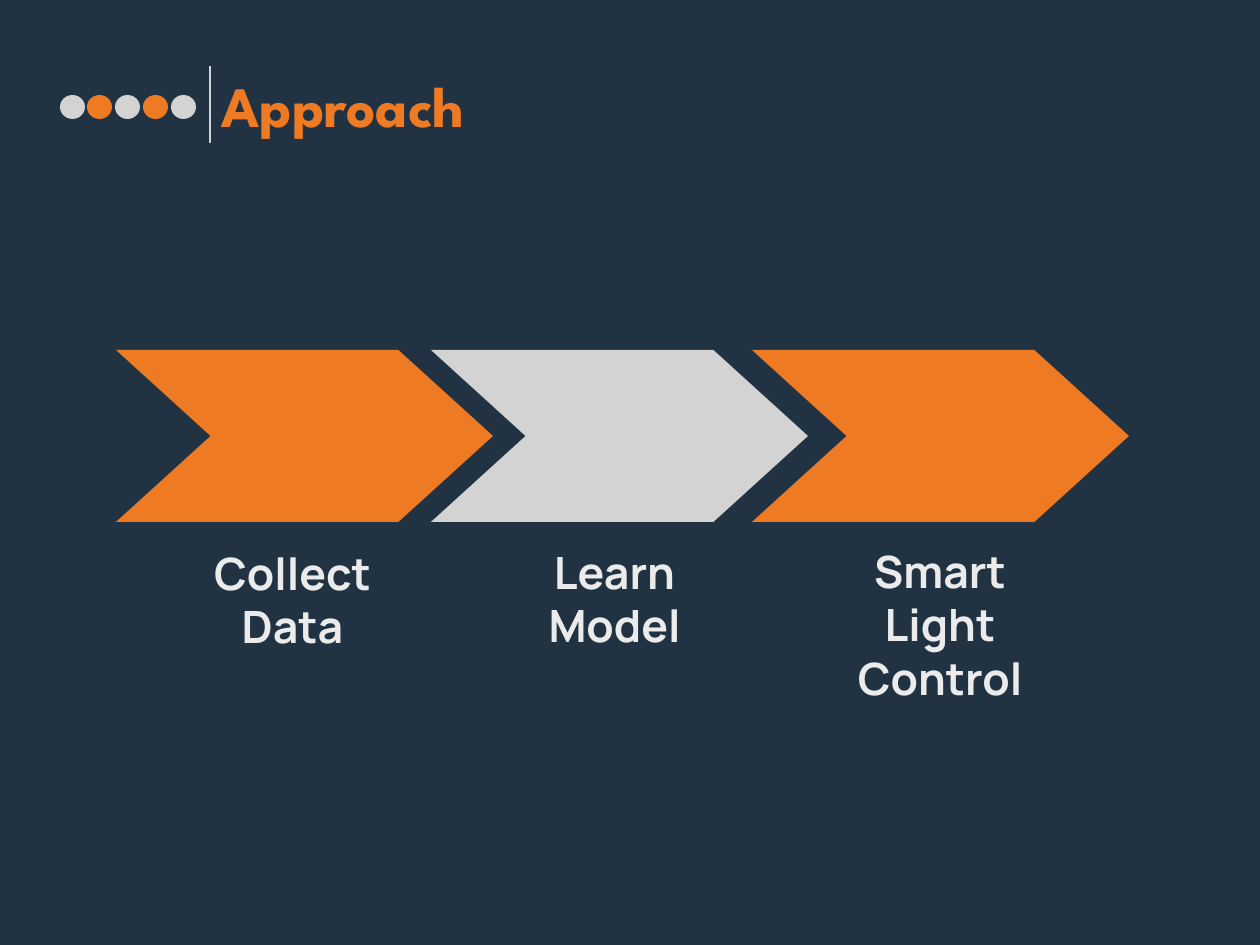
from lxml.etree import SubElement
from pptx import Presentation
from pptx.dml.color import RGBColor
from pptx.enum.shapes import MSO_CONNECTOR, MSO_SHAPE
from pptx.enum.text import MSO_ANCHOR, MSO_AUTO_SIZE, PP_ALIGN
from pptx.oxml.ns import qn
from pptx.util import Emu, Pt

COLORS = {
    "navy": "213343",
    "orange": "EF7A24",
    "silver": "D3D3D3",
    "label": "EBEBEB",
}

STEPS = [
    ("Collect Data", "orange", 116, (181, 546, 223)),
    ("Learn Model", "silver", 431, (503, 545, 223)),
    ("Smart Light Control", "orange", 752, (788, 544, 304)),
]


def px(length):
    return Emu(length * 8000)


def color(name):
    return RGBColor.from_string(COLORS[name])


def add_text(paragraph, words, font_name, size, fill):
    run = paragraph.add_run()
    run.text = words
    run.font.name = font_name
    run.font.size = Pt(size)
    run.font.bold = True
    run.font.color.rgb = color(fill)


def set_heading(slide, words):
    heading = slide.shapes.title
    heading.left, heading.top = px(210), px(63)
    heading.width, heading.height = px(830), px(95)
    heading.height = px(83)
    frame = heading.text_frame
    frame.auto_size = MSO_AUTO_SIZE.NONE
    frame.vertical_anchor = MSO_ANCHOR.MIDDLE
    frame.paragraphs[0].alignment = PP_ALIGN.LEFT
    add_text(frame.paragraphs[0], words, "League Spartan", 36, "orange")


def add_filled(slide, kind, left, top, width, height, fill):
    figure = slide.shapes.add_shape(kind, px(left), px(top), px(width), px(height))
    figure.shadow.inherit = False
    figure.fill.solid()
    figure.fill.fore_color.rgb = color(fill)
    figure.line.fill.background()
    return figure


def add_dots(slide):
    for i in range(5):
        fill = "orange" if i % 2 else "silver"
        add_filled(slide, MSO_SHAPE.OVAL, 60 + 111 * i // 4, 95, 25, 24, fill)


def add_divider(slide):
    divider = slide.shapes.add_connector(
        MSO_CONNECTOR.STRAIGHT, px(210), px(143), px(210), px(66))
    divider.line.color.rgb = color("silver")
    divider.line.width = Pt(0.75)
    SubElement(divider._element.spPr, qn("a:effectLst"))


def add_step(slide, words, fill, left, label_place):
    chevron = add_filled(slide, MSO_SHAPE.CHEVRON, left, 350, 377, 172, fill)
    chevron.adjustments[0] = 0.55

    label_left, label_top, label_width = label_place
    label = slide.shapes.add_textbox(
        px(label_left), px(label_top), px(label_width), px(123))
    frame = label.text_frame
    frame.word_wrap = True
    frame.margin_left = frame.margin_right = px(31)
    frame.margin_top, frame.margin_bottom = px(0), px(15)
    frame.paragraphs[0].alignment = PP_ALIGN.CENTER
    add_text(frame.paragraphs[0], words, "Manrope", 28, "label")


def main():
    deck = Presentation()
    deck.slide_width, deck.slide_height = px(1260), px(945)
    slide = deck.slides.add_slide(deck.slide_layouts[5])
    slide.background.fill.solid()
    slide.background.fill.fore_color.rgb = color("navy")

    set_heading(slide, "Approach")
    for step in STEPS:
        add_step(slide, *step)
    add_divider(slide)
    add_dots(slide)
    deck.save("out.pptx")


if __name__ == "__main__":
    main()
